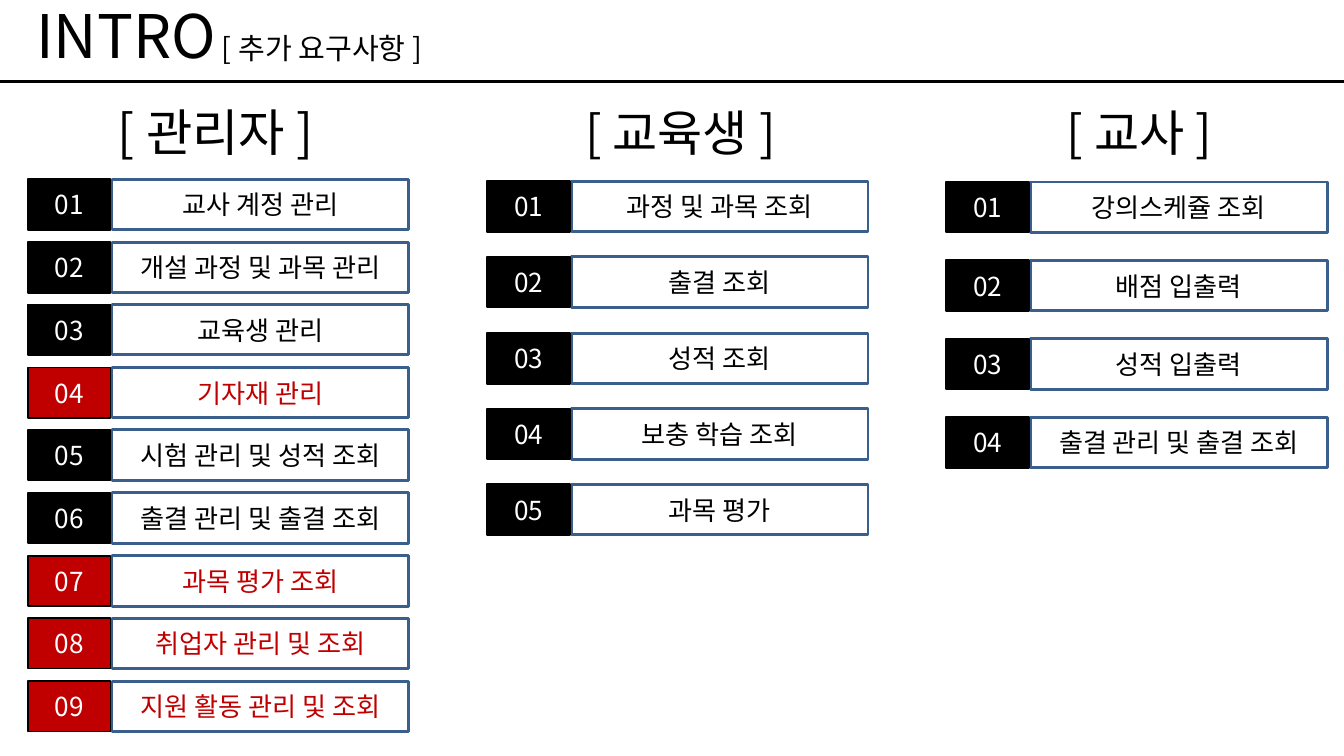
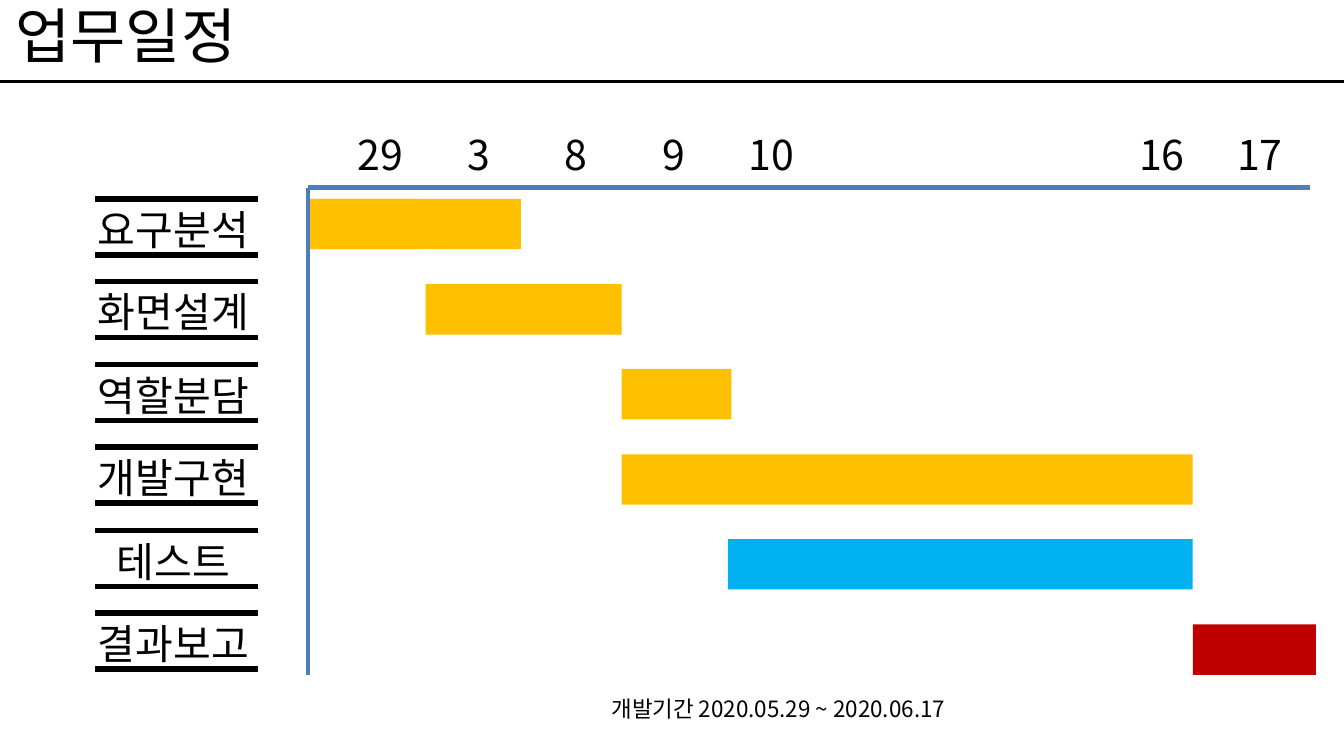
"""Build the requirements overview and the work schedule slides."""
from lxml.etree import SubElement
from pptx import Presentation
from pptx.dml.color import RGBColor
from pptx.enum.shapes import MSO_CONNECTOR, MSO_SHAPE
from pptx.enum.text import MSO_ANCHOR, MSO_AUTO_SIZE, PP_ALIGN
from pptx.oxml.ns import qn
from pptx.util import Pt

PIXEL = 9525
FONT = "Noto Sans CJK KR"
BLACK = RGBColor(0x00, 0x00, 0x00)
WHITE = RGBColor(0xFF, 0xFF, 0xFF)
RED = RGBColor(0xC0, 0x00, 0x00)
YELLOW = RGBColor(0xFF, 0xC0, 0x00)
CYAN = RGBColor(0x00, 0xB0, 0xF0)
BORDER_BLUE = RGBColor(0x3A, 0x5F, 0x8C)
AXIS_BLUE = RGBColor(0x4B, 0x7E, 0xBC)

ROLES = [
    {"heading": "[ 관리자 ]", "heading_left": 128, "heading_size": 54,
     "left": 40, "first": 256, "last": 973, "added": (4, 7, 8, 9),
     "tasks": ["교사 계정 관리", "개설 과정 및 과목 관리", "교육생 관리",
               "기자재 관리", "시험 관리 및 성적 조회", "출결 관리 및 출결 조회",
               "과목 평가 조회", "취업자 관리 및 조회", "지원 활동 관리 및 조회"]},
    {"heading": "[ 교육생 ]", "heading_left": 792, "heading_size": 52.6,
     "left": 696, "first": 259, "last": 692, "added": (),
     "tasks": ["과정 및 과목 조회", "출결 조회", "성적 조회", "보충 학습 조회",
               "과목 평가"]},
    {"heading": "[ 교사 ]", "heading_left": 1448, "heading_size": 52.6,
     "left": 1352, "first": 260, "last": 596, "added": (),
     "tasks": ["강의스케쥴 조회", "배점 입출력", "성적 입출력",
               "출결 관리 및 출결 조회"]},
]

STAGES = [
    ("요구분석", YELLOW, [(443, 157), (453, 291)]),
    ("화면설계", YELLOW, [(608, 280)]),
    ("역할분담", YELLOW, [(888, 157)]),
    ("개발구현", YELLOW, [(888, 816)]),
    ("테스트", CYAN, [(1040, 664)]),
    ("결과보고", RED, [(1704, 176)]),
]
DAY_SLOTS = {"29": 0, "3": 1, "8": 2, "9": 3, "10": 4, "16": 8, "17": 9}


def spread(first, last, count):
    """Return evenly spaced whole positions from first to last."""
    return [round(first + (last - first) * index / (count - 1))
            for index in range(count)]


class Deck:
    """Hold the shared style and the current slide."""

    def __init__(self, width, height):
        """Start an empty presentation."""
        self.presentation = Presentation()
        self.presentation.slide_width = width * PIXEL
        self.presentation.slide_height = height * PIXEL
        self.width = width
        self.slide = None

    def add_slide(self, title):
        """Add a slide with its title and the rule below it."""
        layout = self.presentation.slide_layouts[5]
        self.slide = self.presentation.slides.add_slide(layout)
        placeholder = self.slide.shapes.title
        position = {"left": 0, "top": 0, "width": 360, "height": 112}
        for name, value in position.items():
            setattr(placeholder, name, value * PIXEL)
        self.fill_text(placeholder, title, 64.3, line_spacing=0.9)
        self.line((0, 116), (self.width, 116), BLACK, 3)

    def fill_text(self, shape, text, size, color=BLACK, anchor=MSO_ANCHOR.MIDDLE,
                  auto_size=MSO_AUTO_SIZE.NONE, **paragraph_format):
        """Put one formatted paragraph into a shape."""
        frame = shape.text_frame
        frame_format = {"word_wrap": True, "auto_size": auto_size,
                        "vertical_anchor": anchor}
        for name, value in frame_format.items():
            setattr(frame, name, value)
        paragraph = frame.paragraphs[0]
        for name, value in {"alignment": PP_ALIGN.CENTER, **paragraph_format}.items():
            setattr(paragraph, name, value)
        run = paragraph.add_run()
        run.text = text
        for name, value in {"size": Pt(size), "name": FONT}.items():
            setattr(run.font, name, value)
        run.font.color.rgb = color
        SubElement(run._r.get_or_add_rPr(), qn("a:ea"), typeface=FONT)

    def text(self, box, text, size, **text_format):
        """Add a text box."""
        shape = self.slide.shapes.add_textbox(*(value * PIXEL for value in box))
        self.fill_text(shape, text, size, **text_format)

    def rectangle(self, box, fill, border=None, border_width=0):
        """Add a filled rectangle with an optional border."""
        shape = self.slide.shapes.add_shape(
            MSO_SHAPE.RECTANGLE, *(value * PIXEL for value in box))
        shape.shadow.inherit = False
        shape.fill.solid()
        shape.fill.fore_color.rgb = fill
        if border is None:
            shape.line.fill.background()
        else:
            shape.line.color.rgb = border
            shape.line.width = Pt(border_width)
        return shape

    def line(self, start, end, color, width):
        """Add a straight line without shadow."""
        connector = self.slide.shapes.add_connector(
            MSO_CONNECTOR.STRAIGHT, *(value * PIXEL for value in start + end))
        connector.line.color.rgb = color
        connector.line.width = Pt(width)
        SubElement(connector._element.spPr, qn("a:effectLst"))

    def task(self, left, top, number, text, added):
        """Add a numbered task row, red when newly added."""
        accent = RED if added else BLACK
        body = self.rectangle((left + 120, top, 424, 72), WHITE, BORDER_BLUE, 3)
        self.fill_text(body, text, 28, accent)
        badge = self.rectangle((left, top, 118, 72), accent, BLACK, 2)
        self.fill_text(badge, f"{number:02}", 28, WHITE)

    def stage_label(self, top, text):
        """Add a stage name between two thick rules."""
        self.text((48, top + 3, 400, 68), text, 44, anchor=MSO_ANCHOR.TOP)
        for rule_top in (top, top + 80):
            self.line((136, rule_top), (368, rule_top), BLACK, 6)


def build_requirements(deck):
    """Build the slide of requirements by role."""
    deck.add_slide("INTRO")
    deck.text((280, 12, 360, 112), "[ 추가 요구사항 ]", 31.2)
    for role in ROLES:
        deck.text((role["heading_left"], 132, 360, 112), role["heading"],
                  role["heading_size"])
        tops = spread(role["first"], role["last"], len(role["tasks"]))
        for number, (top, task) in enumerate(zip(tops, role["tasks"]), 1):
            deck.task(role["left"], top, number, task, number in role["added"])


def build_schedule(deck):
    """Build the slide of the work schedule."""
    deck.add_slide("업무일정")
    label_tops = spread(284, 876, len(STAGES))
    bar_tops = spread(284, 892, len(STAGES))
    for end in ((440, 964), (1872, 268)):
        deck.line((440, 268), end, AXIS_BLUE, 4.5)
    day_lefts = spread(496, 1752, 10)
    for day, slot in DAY_SLOTS.items():
        deck.text((day_lefts[slot], 180, 96, 68), day, 44, anchor=MSO_ANCHOR.TOP)
    for label_top, bar_top, (name, color, bars) in zip(label_tops, bar_tops, STAGES):
        deck.stage_label(label_top, name)
        for left, width in bars:
            deck.rectangle((left, bar_top, width, 72), color)
    deck.text((864, 988, 560, 48), "개발기간 2020.05.29 ~ 2020.06.17", 24,
              anchor=MSO_ANCHOR.TOP, auto_size=MSO_AUTO_SIZE.SHAPE_TO_FIT_TEXT,
              alignment=PP_ALIGN.LEFT)


def main():
    """Build and save the presentation."""
    deck = Deck(1920, 1080)
    build_requirements(deck)
    build_schedule(deck)
    deck.presentation.save("out.pptx")


if __name__ == "__main__":
    main()
